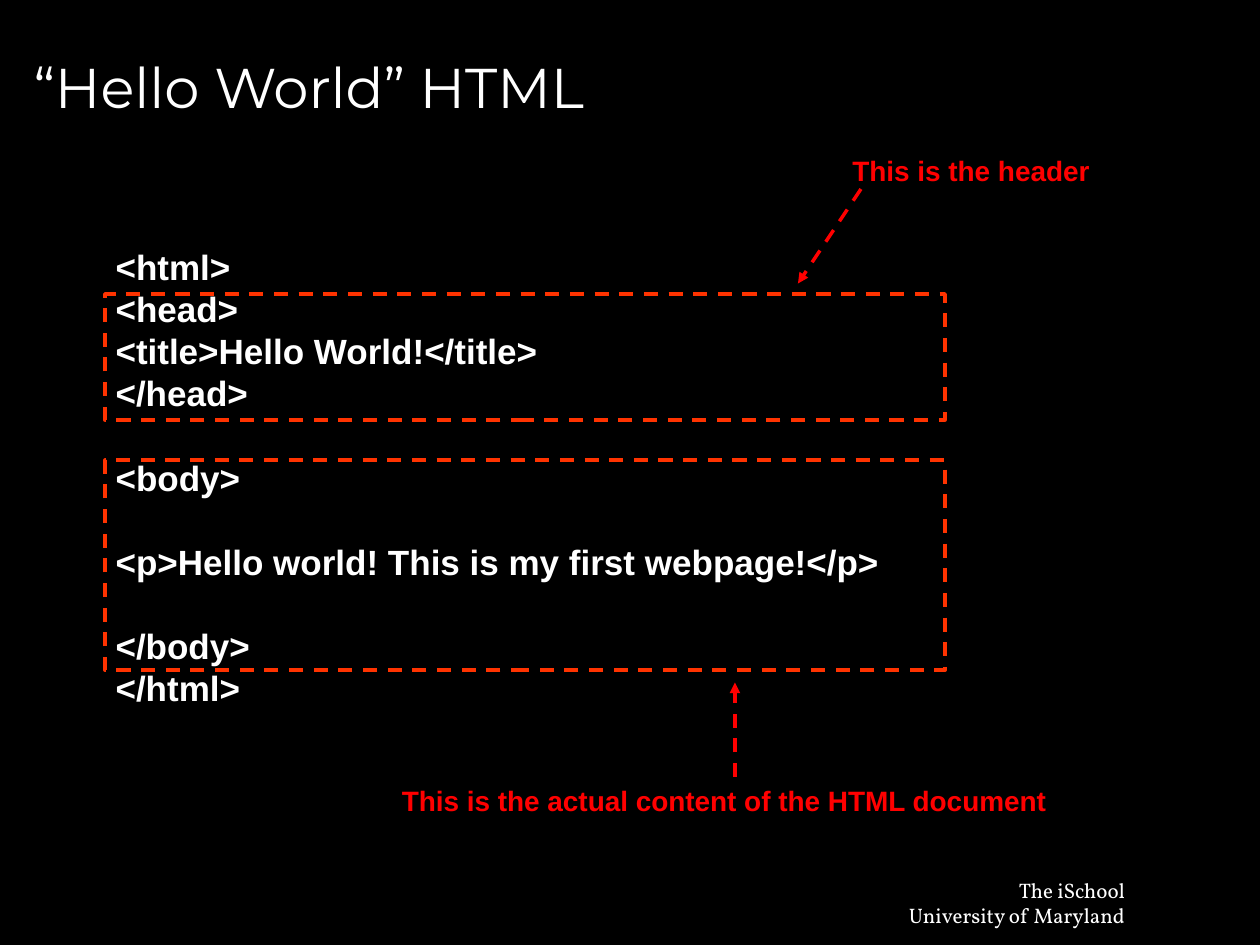
from lxml import etree
from pptx import Presentation
from pptx.dml.color import RGBColor
from pptx.enum import dml, shapes, text
from pptx.oxml import ns
from pptx.util import Pt

COLOURS = {"background": "000000", "text": "FFFFFF", "frame": "FF3300", "note": "FF0000"}
TITLE = {"name": "Montserrat", "size": Pt(32), "bold": False}
CODE = {"name": "Arial", "size": Pt(20), "bold": True}
NOTE = {"name": "Arial", "size": Pt(16), "bold": True}
FOOTER = {"name": "Vollkorn", "size": Pt(12), "bold": False}
LINE_PITCH = Pt(24)


def format_paragraph(paragraph, formats, colour, alignment=text.PP_ALIGN.LEFT):
    paragraph.alignment = alignment
    for run in paragraph.runs:
        for name, value in formats.items():
            setattr(run.font, name, value)
        run.font.color.rgb = RGBColor.from_string(COLOURS[colour])


def add_text(box, lines, formats, colour, alignment=text.PP_ALIGN.LEFT):
    frame = slide.shapes.add_textbox(*map(Pt, box)).text_frame
    frame.word_wrap = False
    frame.text = "\n".join(lines)
    for paragraph in frame.paragraphs:
        format_paragraph(paragraph, formats, colour, alignment)
    return frame


presentation = Presentation()
presentation.slide_width, presentation.slide_height = Pt(720), Pt(540)
slide = presentation.slides.add_slide(presentation.slide_layouts[5])
slide.background.fill.solid()
slide.background.fill.fore_color.rgb = RGBColor.from_string(COLOURS["background"])

# Title
title = slide.shapes.title
title.left, title.top, title.width, title.height = map(Pt, (12, 9, 684, 80.5))
title.text_frame.text = "“Hello World” HTML"
title.text_frame.vertical_anchor = text.MSO_ANCHOR.MIDDLE
format_paragraph(title.text_frame.paragraphs[0], TITLE, "text")

# Footer
add_text((510.5, 498, 139.5, 36), ["The iSchool", "University of Maryland"],
         FOOTER, "text", text.PP_ALIGN.RIGHT)

# HTML code, with a free line above each part of the body
code_lines = ["<html>", "<head>", "<title>Hello World!</title>", "</head>", "<body>",
              "<p>Hello world! This is my first webpage!</p>", "</body>", "</html>"]
code = add_text((59, 137, 451, 271.5), code_lines, CODE, "text")
for paragraph in code.paragraphs:
    paragraph.line_spacing = LINE_PITCH
    if paragraph.text.startswith(("<body>", "<p>", "</body>")):
        paragraph.space_before = LINE_PITCH

# Dashed frames, each with a note and an arrow
callouts = [
    ((60, 168, 480, 72), "This is the header", (480, 84, 150, 26.5), (492, 108, 456, 162)),
    ((60, 263, 480, 120), "This is the actual content of the HTML document",
     (222.5, 444, 383, 26.5), (420, 444, 420, 390)),
]
for frame_box, note, note_box, arrow_ends in callouts:
    frame = slide.shapes.add_shape(shapes.MSO_SHAPE.RECTANGLE, *map(Pt, frame_box))
    frame.shadow.inherit = False
    frame.fill.background()
    add_text(note_box, [note], NOTE, "note")
    arrow = slide.shapes.add_connector(shapes.MSO_CONNECTOR.STRAIGHT, *map(Pt, arrow_ends))
    for shape, colour in ((frame, "frame"), (arrow, "note")):
        shape.line.color.rgb = RGBColor.from_string(COLOURS[colour])
        shape.line.width = Pt(2)
        shape.line.dash_style = dml.MSO_LINE.DASH
    etree.SubElement(arrow.line._get_or_add_ln(), ns.qn("a:tailEnd"), type="triangle")
    etree.SubElement(arrow._element.spPr, ns.qn("a:effectLst"))

presentation.save("out.pptx")
